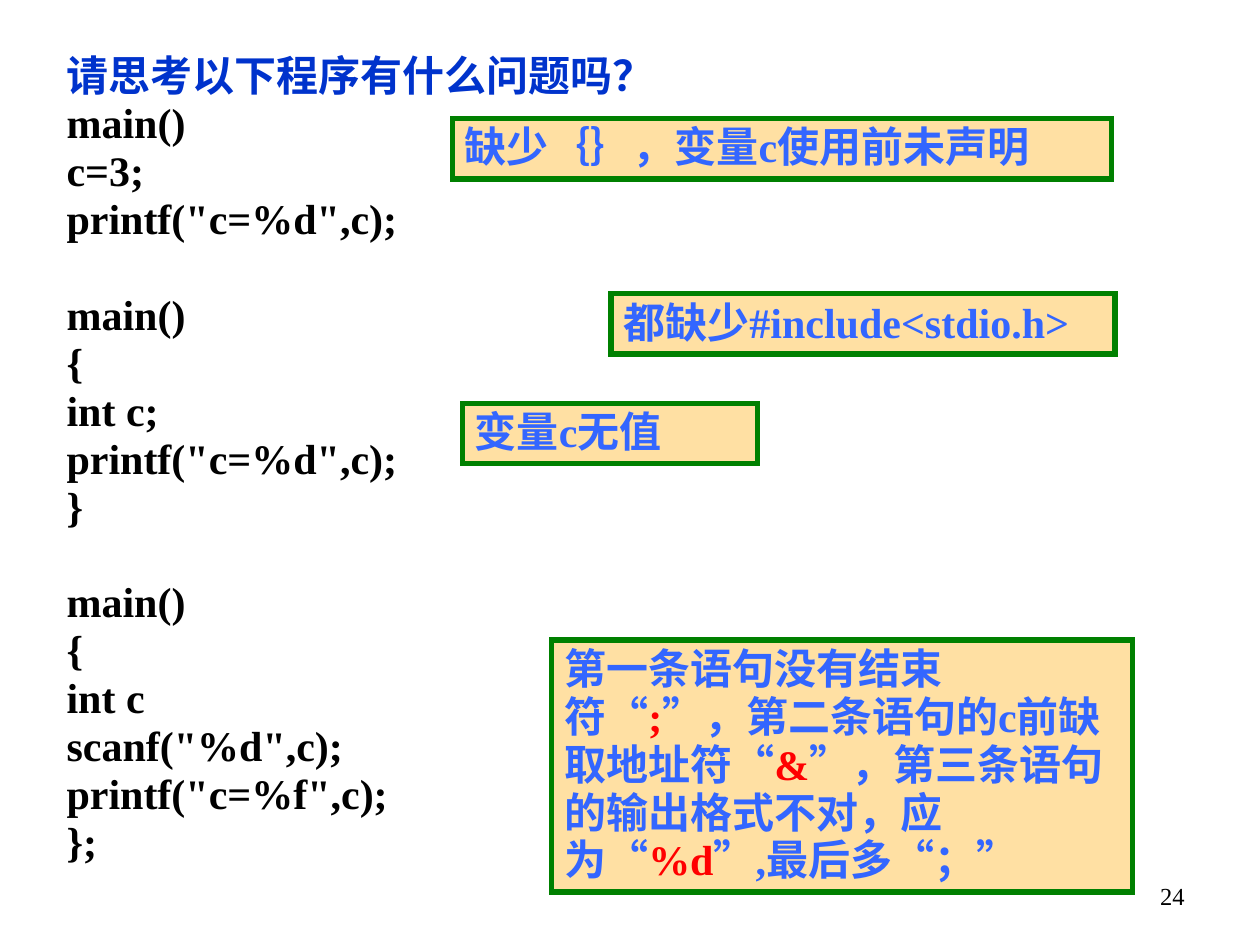
from typing import NamedTuple

from lxml import etree
from pptx import Presentation
from pptx.dml.color import RGBColor
from pptx.enum import lang, shapes, text
from pptx.oxml import ns
from pptx.util import Inches, Pt

COLOURS = {
    "title": "0033CC",
    "code": "000000",
    "note": "3366FF",
    "symbol": "FF0000",
    "note_fill": "FFE0A3",
    "note_line": "008000",
}
FONT = "Times New Roman"
LINE_SPACING = 0.95
PROGRAM_GAP = 27.4  # one empty line, in points


class Run(NamedTuple):
    words: str
    colour: str = "note"


class Note(NamedTuple):
    left: float
    top: float
    width: float
    height: float
    runs: list[Run]


TITLE = "请思考以下程序有什么问题吗？"
PROGRAMS = [
    ["main()", "c=3;", 'printf("c=%d",c);'],
    ["main()", "{", "int c;", 'printf("c=%d",c);', "}"],
    ["main()", "{", "int c", 'scanf("%d",c);', 'printf("c=%f",c);', "};"],
]
NOTES = [
    Note(3.59, 0.94, 5.23, 0.48, [Run("缺少｛｝，变量c使用前未声明")]),
    Note(3.67, 3.2, 2.34, 0.48, [Run("变量c无值")]),
    Note(4.38, 5.08, 4.61, 2, [
        Run("第一条语句没有结束符“"), Run(";", "symbol"),
        Run("”，第二条语句的c前缺取地址符“"), Run("&", "symbol"),
        Run("”，第三条语句的输出格式不对，应为“"), Run("%d", "symbol"),
        Run("”,最后多“；”"),
    ]),
    Note(4.85, 2.33, 4, 0.48, [Run("都缺少#include<stdio.h>")]),
]


def write(paragraph, runs: list[Run], *, size: float = 24, bold: bool = True,
          align=text.PP_ALIGN.LEFT, line_spacing: float = LINE_SPACING,
          space_before: float = 0) -> None:
    """Fill one paragraph with formatted runs."""
    paragraph.alignment = align
    paragraph.line_spacing = line_spacing
    paragraph.space_before = Pt(space_before)
    # Keep punctuation inside the margins
    paragraph._p.get_or_add_pPr().set("hangingPunct", "0")
    for item in runs:
        run = paragraph.add_run()
        run.text = item.words
        font = run.font
        font.name, font.size, font.bold = FONT, Pt(size), bold
        font.language_id = lang.MSO_LANGUAGE_ID.SIMPLIFIED_CHINESE
        font.color.rgb = RGBColor.from_string(COLOURS[item.colour])


def add_text_frame(slide, left: float, top: float, width: float, height: float):
    """Add a wrapping text box and return its text frame."""
    box = slide.shapes.add_textbox(Inches(left), Inches(top), Inches(width), Inches(height))
    box.text_frame.word_wrap = True
    return box.text_frame


def add_programs(slide) -> None:
    """Write the question and the programs below it."""
    frame = add_text_frame(slide, 0.43, 0.37, 8.98, 6.56)
    write(frame.paragraphs[0], [Run(TITLE, "title")])
    for program_index, program in enumerate(PROGRAMS):
        for line_index, line in enumerate(program):
            starts_later_program = program_index > 0 and line_index == 0
            write(frame.add_paragraph(), [Run(line, "code")],
                  space_before=PROGRAM_GAP if starts_later_program else 0)


def add_note(slide, note: Note) -> None:
    """Draw a framed answer with square corners."""
    shape = slide.shapes.add_shape(
        shapes.MSO_SHAPE.RECTANGLE, Inches(note.left), Inches(note.top),
        Inches(note.width), Inches(note.height))
    shape.shadow.inherit = False
    shape.fill.solid()
    shape.fill.fore_color.rgb = RGBColor.from_string(COLOURS["note_fill"])
    shape.line.color.rgb = RGBColor.from_string(COLOURS["note_line"])
    shape.line.width = Pt(3)
    outline = shape.line._get_or_add_ln()
    etree.SubElement(outline, ns.qn("a:miter"), lim="800000")
    frame = shape.text_frame
    frame.word_wrap = True
    frame.vertical_anchor = text.MSO_ANCHOR.TOP
    write(frame.paragraphs[0], note.runs)


def main() -> None:
    presentation = Presentation()
    presentation.slide_width, presentation.slide_height = Inches(10), Inches(7.5)
    slide = presentation.slides.add_slide(presentation.slide_layouts[6])

    # Page number
    number_frame = add_text_frame(slide, 7.17, 6.94, 2.33, 0.52)
    write(number_frame.paragraphs[0], [Run("24", "code")], size=14, bold=False,
          align=text.PP_ALIGN.RIGHT, line_spacing=1.0)

    # Programs and answers
    add_programs(slide)
    for note in NOTES:
        add_note(slide, note)

    presentation.save("out.pptx")


if __name__ == "__main__":
    main()
